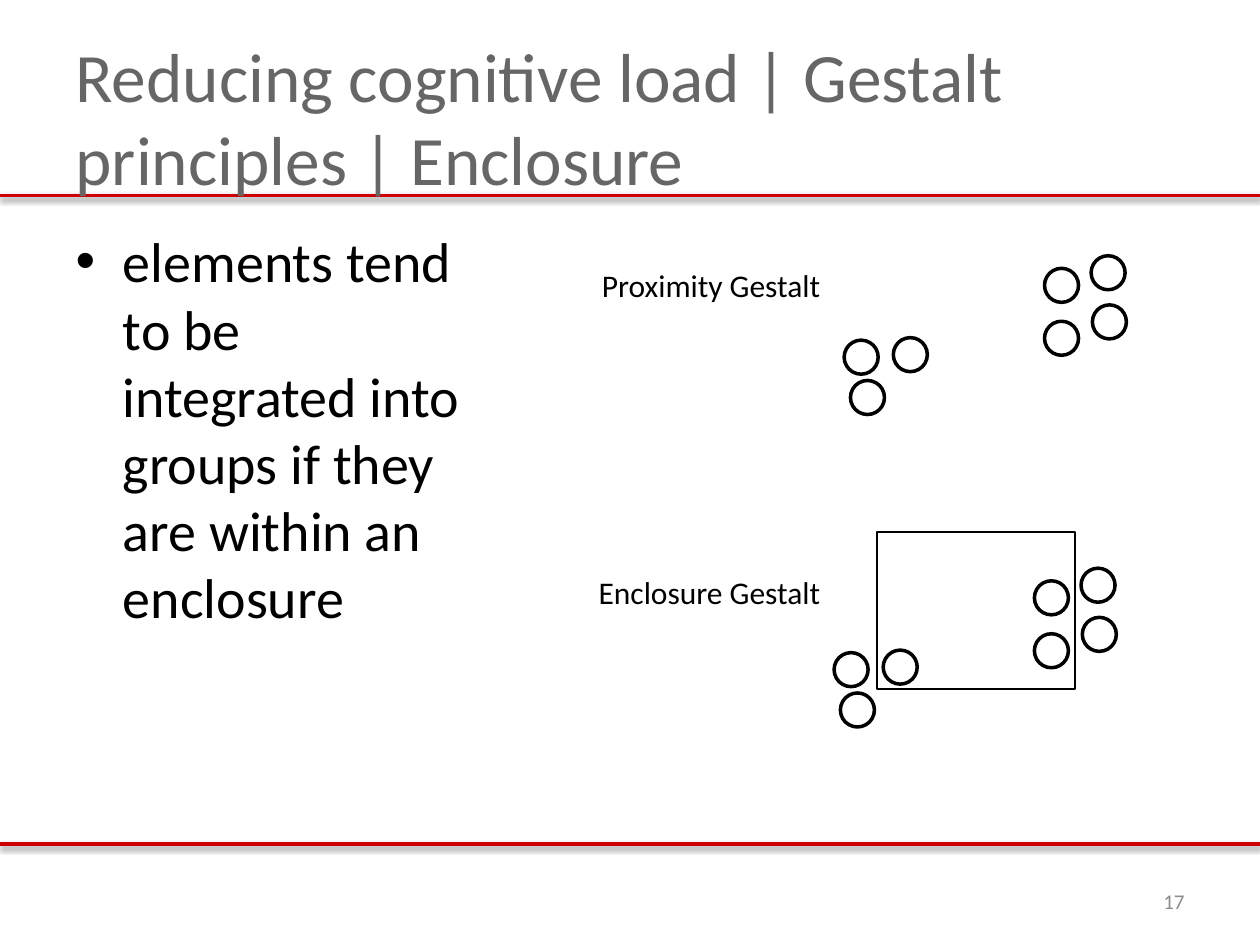
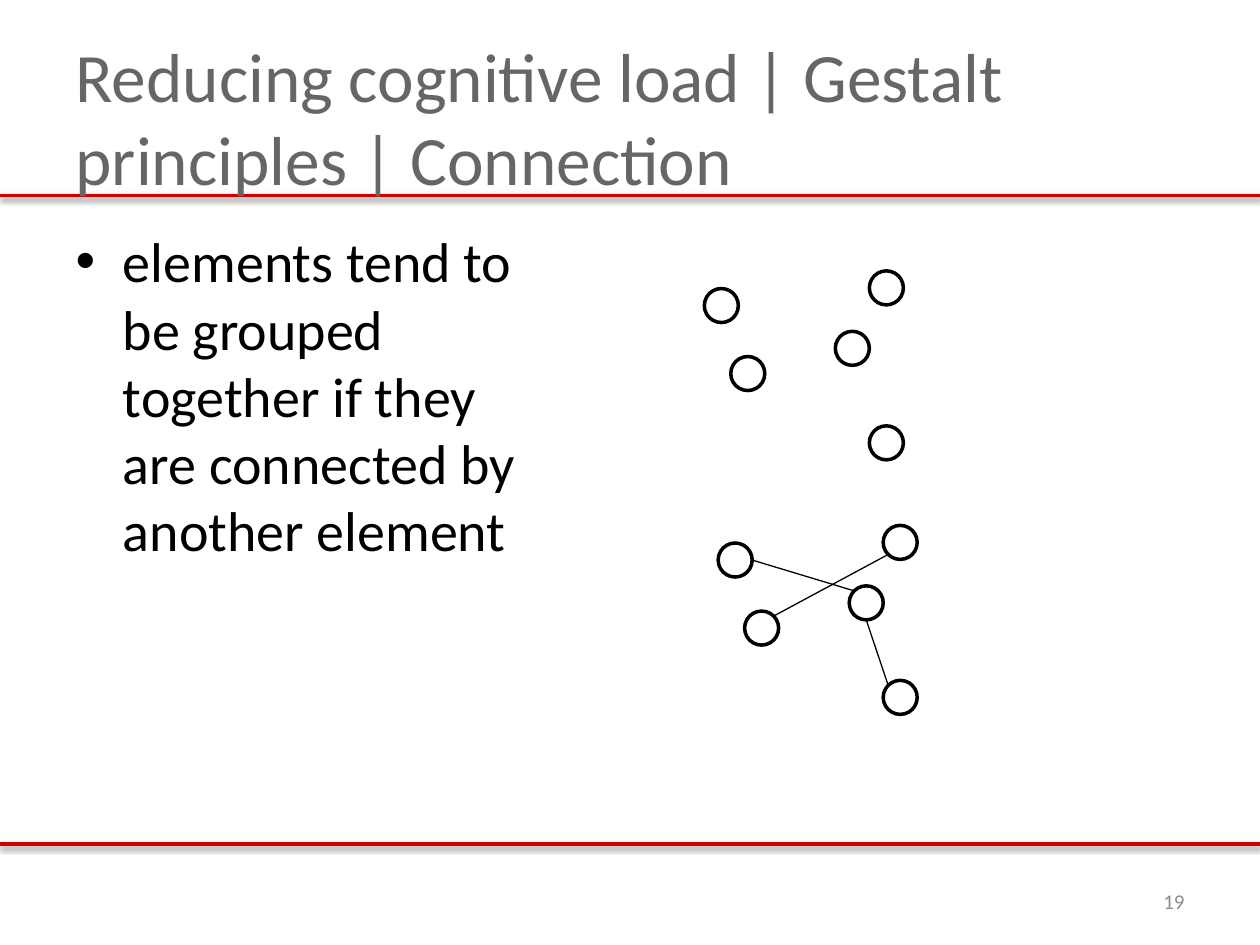
"""Build two slides on the Gestalt principles of enclosure and connection."""
from math import cos, radians, sin

from lxml import etree
from pptx import Presentation
from pptx.dml.color import RGBColor
from pptx.enum.shapes import MSO_CONNECTOR, MSO_SHAPE
from pptx.enum.text import MSO_ANCHOR, MSO_AUTO_SIZE, PP_ALIGN
from pptx.oxml.ns import qn
from pptx.util import Inches, Pt

LEFT, RIGHT = PP_ALIGN.LEFT, PP_ALIGN.RIGHT
TOP, MIDDLE = MSO_ANCHOR.TOP, MSO_ANCHOR.MIDDLE
NO_FIT = MSO_AUTO_SIZE.NONE
OVAL, RECTANGLE = MSO_SHAPE.OVAL, MSO_SHAPE.RECTANGLE
STRAIGHT = MSO_CONNECTOR.STRAIGHT

FONT = "Calibri"
COLORS = {
    "band": "CC0000",
    "title": "666666",
    "number": "8C8C8C",
    "ink": "000000",
    "paper": "FFFFFF",
}
BANDS = [1.55, 6.7]
RING = 0.27
ANGLES = {"right": 0, "bottom": 90, "bottom left": 135, "top left": 225, "top right": 315}

SLIDES = [
    {
        "title": "Reducing cognitive load | Gestalt principles | Enclosure",
        "body": "elements tend to be integrated into groups if they are within an enclosure",
        "body_width": 3.26,
        "number": "17",
        "rings": [(6.7, 2.7), (6.75, 3.02), (7.09, 2.68), (8.29, 2.13),
                  (8.66, 2.03), (8.29, 2.55), (8.67, 2.42)],
        "repeat_offset": (-0.08, 2.48),
        "enclosure": (6.96, 4.22, 1.57, 1.25),
        "links": [],
        "labels": [("Proximity Gestalt", 2.06), ("Enclosure Gestalt", 4.5)],
    },
    {
        "title": "Reducing cognitive load | Gestalt principles | Connection",
        "body": "elements tend to be grouped together if they are connected by another element",
        "body_width": 3.76,
        "number": "19",
        "rings": [(5.59, 2.29), (6.63, 2.63), (5.8, 2.83), (6.9, 2.15), (6.9, 3.38)],
        "repeat_offset": (0.11, 2.02),
        "enclosure": None,
        "links": [(2, "top right", 3, "bottom left"),
                  (0, "right", 1, "top left"),
                  (1, "bottom", 4, "top left")],
        "labels": [],
    },
]


def color(name):
    return RGBColor.from_string(COLORS[name])


def place(shape, left, top, width, height):
    shape.left, shape.top = Inches(left), Inches(top)
    shape.width, shape.height = Inches(width), Inches(height)


def write(box, text, size, color_name, align=LEFT, anchor=TOP):
    frame = box.text_frame
    frame.text = text
    frame.word_wrap = True
    frame.auto_size = NO_FIT
    frame.vertical_anchor = anchor
    para = frame.paragraphs[0]
    para.alignment = align
    para.font.name = FONT
    para.font.size = Pt(size)
    para.font.color.rgb = color(color_name)


def add_text(page, area, *style):
    box = page.shapes.add_textbox(*map(Inches, area))
    write(box, *style)


def add_line(shapes, start, end, color_name, weight):
    line = shapes.add_connector(STRAIGHT, *map(Inches, (*start, *end)))
    line.line.color.rgb = color(color_name)
    line.line.width = Pt(weight)
    effects = etree.SubElement(line.element.spPr, qn("a:effectLst"))
    return line, effects


def add_bands(deck, page):
    tree = deck.slide_master.placeholders[0].element.getparent()
    for top in BANDS:
        line, effects = add_line(page.shapes, (0, top), (10, top), "band", 2)
        shadow = etree.SubElement(effects, qn("a:outerShdw"), blurRad="40000",
                                  dist="20000", dir="5400000", rotWithShape="0")
        tint = etree.SubElement(shadow, qn("a:srgbClr"), val=COLORS["ink"])
        etree.SubElement(tint, qn("a:alpha"), val="38000")
        tree.append(line.element)


def add_outline(shapes, kind, area, weight):
    shape = shapes.add_shape(kind, *map(Inches, area))
    shape.shadow.inherit = False
    shape.fill.solid()
    shape.fill.fore_color.rgb = color("paper")
    shape.line.color.rgb = color("ink")
    shape.line.width = Pt(weight)


def add_rings(shapes, rings):
    for left, top in rings:
        add_outline(shapes, OVAL, (left, top, RING, RING), 2)


def rim(ring, side):
    angle = radians(ANGLES[side])
    return (ring[0] + RING / 2 * (1 + cos(angle)),
            ring[1] + RING / 2 * (1 + sin(angle)))


def add_diagram(page, content):
    rings = content["rings"]
    add_rings(page.shapes.add_group_shape().shapes, rings)

    shift_x, shift_y = content["repeat_offset"]
    repeated = [(left + shift_x, top + shift_y) for left, top in rings]
    group = page.shapes.add_group_shape().shapes
    if content["enclosure"]:
        add_outline(group, RECTANGLE, content["enclosure"], 1)
    add_rings(group, repeated)
    for first, first_side, second, second_side in content["links"]:
        add_line(group, rim(repeated[first], first_side),
                 rim(repeated[second], second_side), "ink", 0.75)


def add_page(deck, content):
    page = deck.slides.add_slide(deck.slide_layouts[1])
    title, body = page.placeholders
    place(title, 0.5, 0.3, 9, 1.25)
    write(title, content["title"], 39.6, "title", LEFT, MIDDLE)
    place(body, 0.5, 1.75, content["body_width"], 4.95)
    write(body, content["body"], 32, "ink")
    add_text(page, (7.17, 6.95, 2.33, 0.4), content["number"], 12, "number", RIGHT, MIDDLE)
    add_diagram(page, content)
    for label, top in content["labels"]:
        add_text(page, (3.76, top, 2.85, 0.4), label, 18, "ink", RIGHT)
    return page


def main():
    deck = Presentation()
    deck.slide_width, deck.slide_height = Inches(10), Inches(7.5)
    pages = [add_page(deck, content) for content in SLIDES]
    add_bands(deck, pages[0])
    deck.save("out.pptx")


if __name__ == "__main__":
    main()
